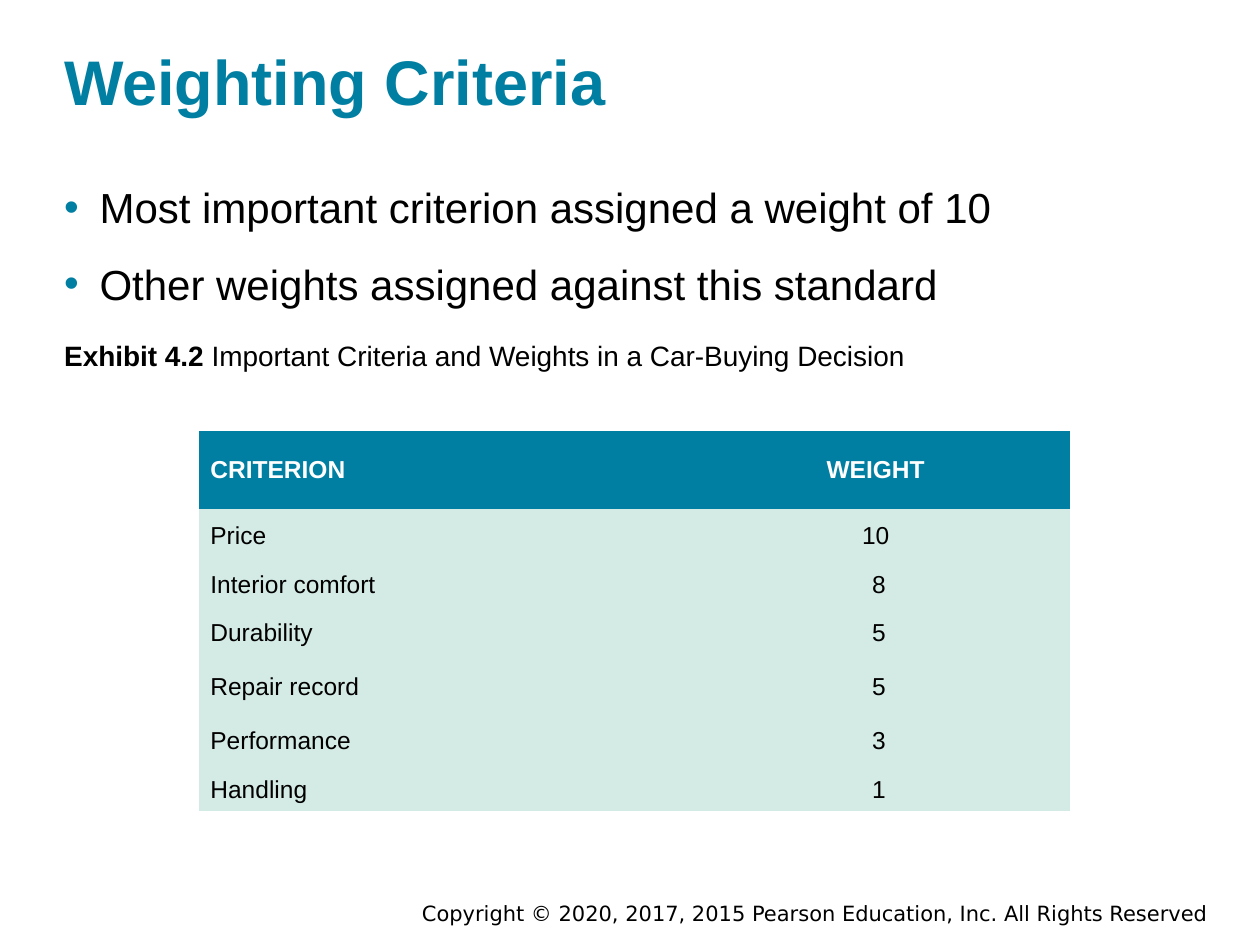
from dataclasses import dataclass

from lxml.etree import SubElement
from pptx import Presentation
from pptx.dml.color import RGBColor as Color
from pptx.enum.text import MSO_ANCHOR as Anchor, PP_ALIGN as Align
from pptx.oxml.ns import qn
from pptx.util import Inches, Pt

TITLE = "Weighting Criteria"
POINTS = [
    "Most important criterion assigned a weight of 10",
    "Other weights assigned against this standard",
]
EXHIBIT_LABEL = "Exhibit 4.2 "
EXHIBIT_TITLE = "Important Criteria and Weights in a Car-Buying Decision"
COPYRIGHT = "Copyright © 2020, 2017, 2015 Pearson Education, Inc. All Rights Reserved"
CRITERIA = [
    ("CRITERION", "WEIGHT"),
    ("Price", "10"),
    ("Interior comfort", " 8"),
    ("Durability", " 5"),
    ("Repair record", " 5"),
    ("Performance", " 3"),
    ("Handling", " 1"),
]
COLUMN_WIDTHS = [3.83, 3.08]
ROW_HEIGHTS = [0.62, 0.43, 0.34, 0.43, 0.43, 0.43, 0.34]
NO_GRID_STYLE = "{2D5ABB26-0587-4C30-8999-92F81FD0307C}"


@dataclass(frozen=True)
class Theme:
    accent: str = "007FA3"
    band: str = "D4EAE4"
    ink: str = "000000"
    paper: str = "FFFFFF"
    face: str = "Arial"
    footer_face: str = "DejaVu Sans"
    title: int = 36
    body: int = 24
    caption: int = 16
    table: int = 14
    footer: int = 12


THEME = Theme()


def style(span, size, color=THEME.ink, bold=False, face=THEME.face):
    span.font.name = face
    span.font.size = Pt(size)
    span.font.bold = bold
    span.font.color.rgb = Color.from_string(color)


def add_text(page, left, top, width, height, text, anchor=Anchor.TOP):
    box = page.shapes.add_textbox(*map(Inches, (left, top, width, height)))
    frame = box.text_frame
    frame.word_wrap = True
    frame.vertical_anchor = anchor
    frame.margin_left = frame.margin_right = 0
    frame.margin_top = frame.margin_bottom = Inches(0.02)
    frame.text = text
    return frame.paragraphs


def add_bullet(para):
    props = para._p.get_or_add_pPr()
    props.set("marL", str(Inches(0.28)))
    props.set("indent", str(Inches(-0.28)))
    color = SubElement(props, qn("a:buClr"))
    SubElement(color, qn("a:srgbClr"), val=THEME.accent)
    SubElement(props, qn("a:buFont"), typeface=THEME.face)
    SubElement(props, qn("a:buChar"), char="•")


def add_criteria_table(page):
    frame = page.shapes.add_table(
        len(CRITERIA), len(COLUMN_WIDTHS), Inches(1.58), Inches(3.42),
        Inches(sum(COLUMN_WIDTHS)), Inches(sum(ROW_HEIGHTS)))
    frame._element.xpath(".//a:tableStyleId")[0].text = NO_GRID_STYLE
    table = frame.table
    table.horz_banding = False
    for column, width in zip(table.columns, COLUMN_WIDTHS):
        column.width = Inches(width)
    for row_index, (row, height) in enumerate(zip(table.rows, ROW_HEIGHTS)):
        row.height = Inches(height)
        header = row_index == 0
        for column_index, text in enumerate(CRITERIA[row_index]):
            cell = table.cell(row_index, column_index)
            cell.fill.solid()
            cell.fill.fore_color.rgb = Color.from_string(
                THEME.accent if header else THEME.band)
            cell.vertical_anchor = Anchor.MIDDLE
            cell.margin_left = cell.margin_right = Inches(0.09)
            cell.text = text
            para = cell.text_frame.paragraphs[0]
            para.alignment = Align.CENTER if column_index else Align.LEFT
            style(para.runs[0], THEME.table,
                  THEME.paper if header else THEME.ink, header)


def main():
    deck = Presentation()
    deck.slide_width, deck.slide_height = Inches(10), Inches(7.5)
    page = deck.slides.add_slide(deck.slide_layouts[6])

    footer = add_text(page, 2.92, 7.13, 6.67, 0.24, COPYRIGHT)[0]
    footer.alignment = Align.RIGHT
    style(footer.runs[0], THEME.footer, face=THEME.footer_face)

    title = add_text(page, 0.51, 0.31, 9.08, 0.65, TITLE, Anchor.BOTTOM)[0]
    style(title.runs[0], THEME.title, THEME.accent, True)

    points = add_text(page, 0.51, 1.42, 9.08, 1.06, "\n".join(POINTS))
    for index, para in enumerate(points):
        add_bullet(para)
        para.space_before = Pt(15 if index else 0)
        style(para.runs[0], THEME.body)

    caption = add_text(page, 0.51, 2.67, 9.07, 0.31, EXHIBIT_LABEL)[0]
    style(caption.runs[0], THEME.caption, bold=True)
    span = caption.add_run()
    span.text = EXHIBIT_TITLE
    style(span, THEME.caption)

    add_criteria_table(page)
    deck.save("out.pptx")


if __name__ == "__main__":
    main()
